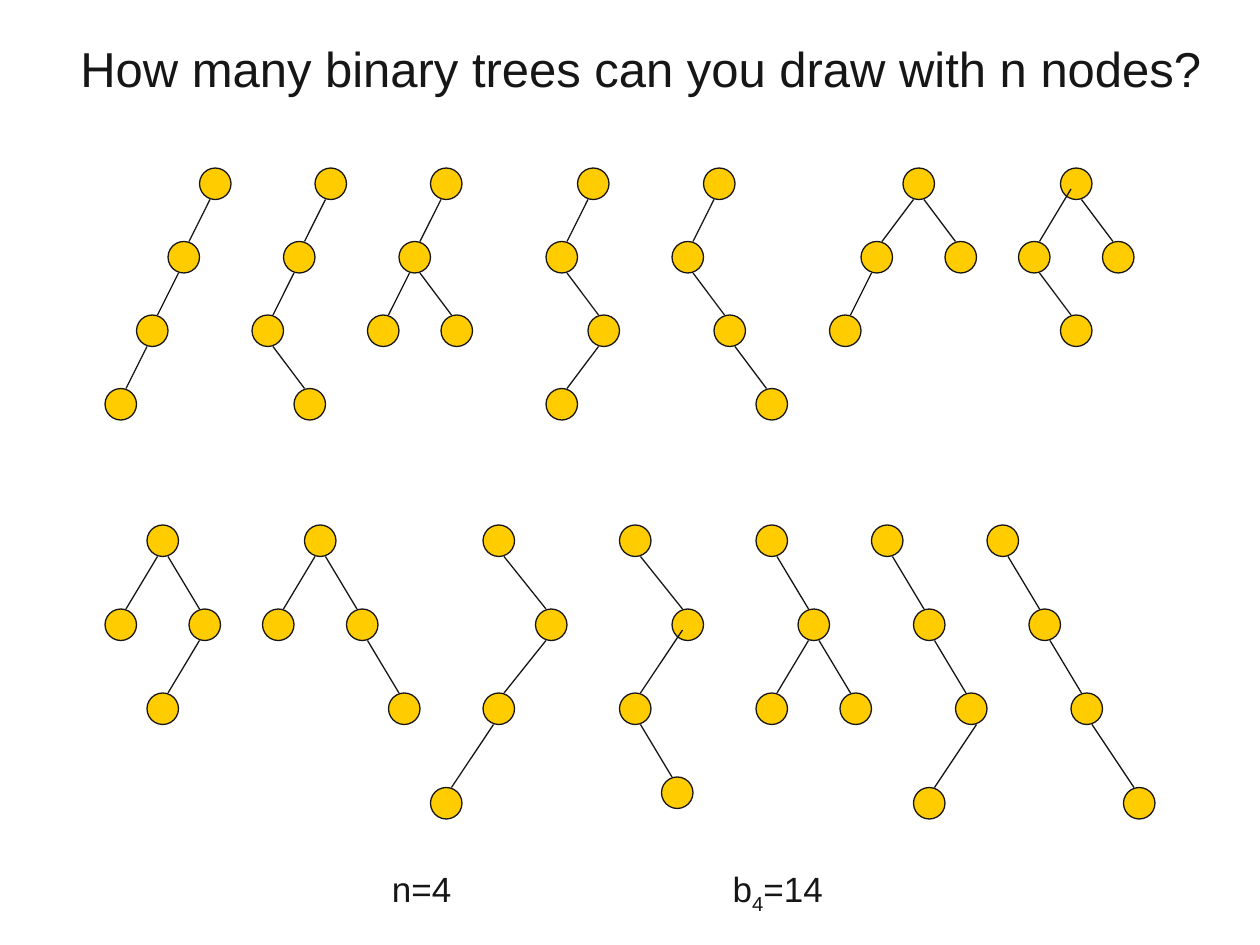
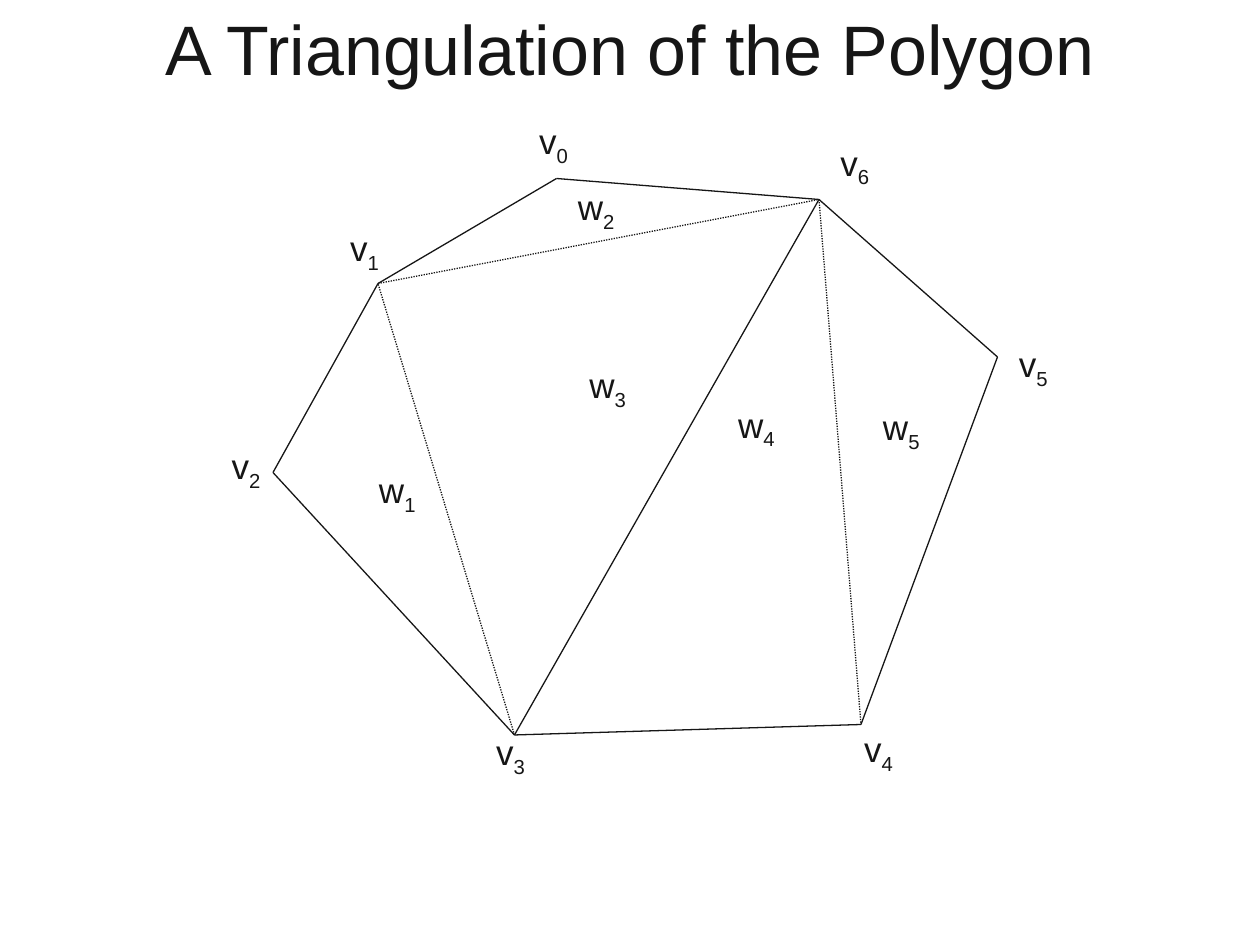
from lxml import etree
from pptx import Presentation
from pptx.dml.color import RGBColor
from pptx.enum.dml import MSO_LINE
from pptx.enum.shapes import MSO_CONNECTOR, MSO_SHAPE
from pptx.enum.text import MSO_ANCHOR as ANCHOR, PP_ALIGN as ALIGN
from pptx.oxml.ns import qn
from pptx.util import Cm, Pt

COLORS = {"ink": "161616", "node": "FFCC00"}
FONT = "Arial"
GRID = 2.54 / 12  # the drawings sit on a grid of twelve steps to the inch
NODE = 3  # node diameter in grid steps
LINE_WIDTH = Pt(0.75)
LABEL_HEIGHT = 1.22
INK = RGBColor.from_string(COLORS["ink"])


def add_text(slide, text, left, top, width, height=LABEL_HEIGHT, size=20, title=False):
    """Write text in a box; the character after an underscore is a subscript."""
    box = slide.shapes.add_textbox(Cm(left), Cm(top), Cm(width), Cm(height))
    frame = box.text_frame
    frame.word_wrap = title
    paragraph = frame.paragraphs[0]
    if title:
        frame.vertical_anchor = ANCHOR.MIDDLE
        paragraph.alignment = ALIGN.CENTER
    paragraph.font.name = FONT
    paragraph.font.size = Pt(size)
    paragraph.font.color.rgb = INK
    base, _, rest = text.partition("_")
    paragraph.add_run().text = base
    if rest:
        subscript = paragraph.add_run()
        subscript.text = rest[0]
        subscript._r.get_or_add_rPr().set("baseline", "-25000")
    if rest[1:]:
        paragraph.add_run().text = rest[1:]


def add_line(slide, start, end, dotted=False):
    """Join two grid points."""
    points = [Cm(value * GRID) for value in (*start, *end)]
    line = slide.shapes.add_connector(MSO_CONNECTOR.STRAIGHT, *points)
    line.line.color.rgb = INK
    line.line.width = LINE_WIDTH
    if dotted:
        line.line.dash_style = MSO_LINE.ROUND_DOT
    etree.SubElement(line._element.spPr, qn("a:effectLst"))


presentation = Presentation()
presentation.slide_width, presentation.slide_height = Cm(25.4), Cm(19.05)
blank = presentation.slide_layouts[6]

# Slide 1: the fourteen binary trees with four nodes
slide = presentation.slides.add_slide(blank)
add_text(slide, "How many binary trees can you draw with n nodes?",
         1.27, 0.64, 23.29, 1.47, size=28, title=True)

# Each tree: left edges of its nodes, then the parent of every node but the root
CHAIN, FORK_BELOW = (0, 1, 2), (0, 1, 1)
LEFT_GROWS, RIGHT_GROWS = (0, 0, 1), (0, 0, 2)
tree_rows = [
    ((16, 23, 30, 37), [
        ((19, 16, 13, 10), CHAIN),
        ((30, 27, 24, 28), CHAIN),
        ((41, 38, 35, 42), FORK_BELOW),
        ((55, 52, 56, 52), CHAIN),
        ((67, 64, 68, 72), CHAIN),
        ((86, 82, 90, 79), LEFT_GROWS),
        ((101, 97, 105, 101), LEFT_GROWS),
    ]),
    ((50, 58, 66, 75), [
        ((14, 10, 18, 14), RIGHT_GROWS),
        ((29, 25, 33, 37), RIGHT_GROWS),
        ((46, 51, 46, 41), CHAIN),
        ((59, 64, 59, 63), CHAIN),
        ((72, 76, 72, 80), FORK_BELOW),
        ((83, 87, 91, 87), CHAIN),
        ((94, 98, 102, 107), CHAIN),
    ]),
]
# Small departures from the grid rules, keyed by node position
node_shift = {(63, 75): -1}
left_edge_shift = {(101, 16): (0, -1), (64, 58): (0, -1), (91, 66): (1, 0)}

for level_tops, trees in tree_rows:
    for lefts, parents in trees:
        levels = [0]
        for parent in parents:
            levels.append(levels[parent] + 1)
        nodes = []
        for left, level in zip(lefts, levels):
            top = level_tops[level]
            nodes.append((left, top + node_shift.get((left, top), 0)))
        for left, top in nodes:
            node = slide.shapes.add_shape(
                MSO_SHAPE.OVAL, Cm(left * GRID), Cm(top * GRID),
                Cm(NODE * GRID), Cm(NODE * GRID))
            node.shadow.inherit = False
            node.fill.solid()
            node.fill.fore_color.rgb = RGBColor.from_string(COLORS["node"])
            node.line.color.rgb = INK
            node.line.width = LINE_WIDTH
        for parent, (left, top) in zip(parents, nodes[1:]):
            parent_left, parent_top = nodes[parent]
            if left < parent_left:
                shift_x, shift_y = left_edge_shift.get(nodes[parent], (0, 0))
                start = (parent_left + 1 + shift_x, parent_top + NODE + shift_y)
                end = (left + 2, top)
            else:
                start = (parent_left + 2, parent_top + NODE)
                end = (left + 1, top)
            add_line(slide, start, end)

add_text(slide, "n=4", 7.65, 17.37, 1.7)
add_text(slide, "b_4=14", 14.52, 17.37, 2.34)

# Slide 2: the polygon, its diagonals and the labels
slide = presentation.slides.add_slide(blank)
add_text(slide, "A Triangulation of the Polygon",
         1.27, 0.64, 22.86, 0.64, size=40, title=True)

vertices = [(53, 17), (36, 27), (26, 45), (49, 70), (82, 69), (95, 34), (78, 19)]
for index, vertex in enumerate(vertices):
    add_line(slide, vertex, vertices[(index + 1) % len(vertices)])
for first, second, dotted in [(3, 6, False), (3, 1, True), (1, 6, True), (6, 4, True)]:
    add_line(slide, vertices[first], vertices[second], dotted)

vertex_labels = [(10.62, 2.29), (6.81, 4.45), (4.42, 8.84), (9.75, 14.61),
                 (17.17, 14.55), (20.29, 6.78), (16.69, 2.72)]
triangle_labels = [(7.39, 9.32), (11.4, 3.61), (11.63, 7.21), (14.63, 8), (17.55, 8.05)]
for letter, first, width, places in [("v", 0, 1.09, vertex_labels),
                                     ("w", 1, 1.24, triangle_labels)]:
    for number, (left, top) in enumerate(places, first):
        add_text(slide, f"{letter}_{number}", left, top, width)

presentation.save("out.pptx")
